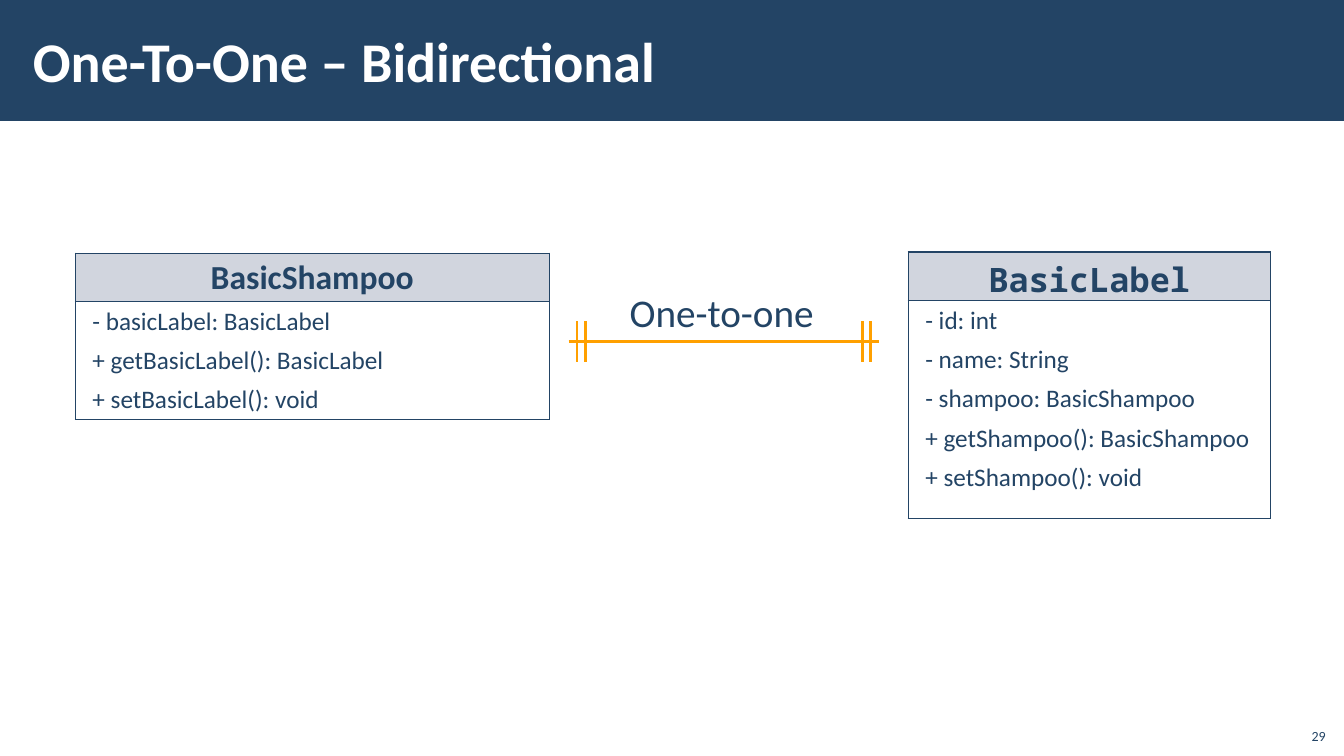
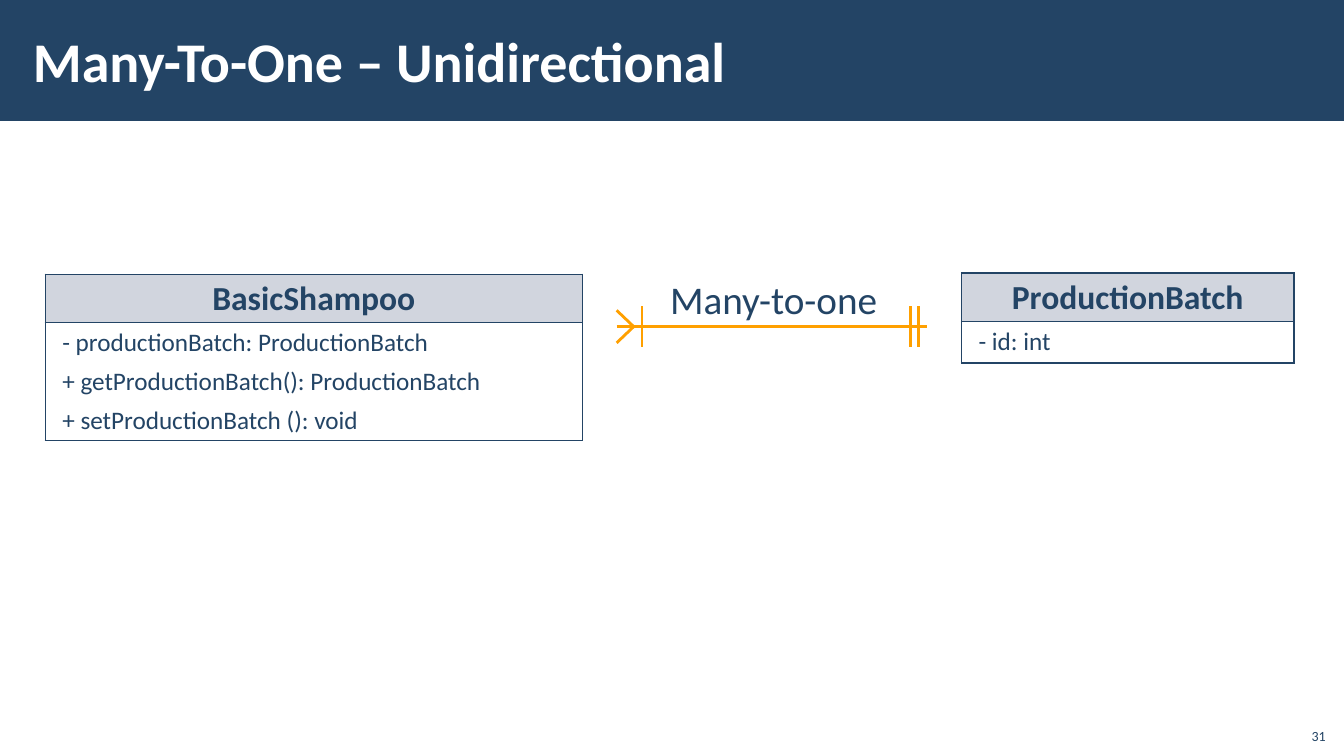
"""Build two slides of entity relation diagrams with crow's foot links."""
from lxml.etree import SubElement
from pptx import Presentation
from pptx.dml.color import RGBColor
from pptx.enum.shapes import MSO_CONNECTOR, MSO_SHAPE
from pptx.enum.text import MSO_ANCHOR, PP_ALIGN
from pptx.oxml import parse_xml
from pptx.oxml.ns import nsdecls, qn
from pptx.util import Cm, Pt

COLORS = {"navy": "234465", "header": "D1D5DE", "link": "FFA000", "white": "FFFFFF"}
FONT, MONO = "Calibri", "Noto Sans Mono"
WIDTH, HEIGHT, BAND_HEIGHT = 33.87, 19.05, 3.05
HEADER_HEIGHT = 1.22
LINK_LENGTH, BAR_HALF, BAR_STEP = 7.82, 0.51, 0.21
FOOT_WIDTH, FOOT_HALF, FOOT_BAR = 0.43, 0.41, 0.64

SLIDES = [
    {
        "title": "One-To-One – Bidirectional",
        "number": "29",
        "link": {"at": (14.33, 8.61), "many": False},
        "label": {"text": "One-to-one", "box": (15.62, 7.14, 5.21, 1.45)},
        "entities": [
            {"name": "BasicShampoo", "font": FONT, "at": (1.9, 6.38), "size": (11.94, 2.97),
             "members": ["- basicLabel: BasicLabel", "+ getBasicLabel(): BasicLabel",
                         "+ setBasicLabel(): void"]},
            {"name": "BasicLabel", "font": MONO, "at": (22.89, 6.35), "size": (9.12, 5.48),
             "members": ["- id: int", "- name: String", "- shampoo: BasicShampoo",
                         "+ getShampoo(): BasicShampoo", "+ setShampoo(): void"]},
        ],
    },
    {
        "title": "Many-To-One – Unidirectional",
        "number": "31",
        "link": {"at": (15.54, 8.23), "many": True},
        "label": {"text": "Many-to-one", "box": (16.64, 6.81, 5.82, 1.45)},
        "entities": [
            {"name": "BasicShampoo", "font": FONT, "at": (1.14, 6.91), "size": (13.54, 2.97),
             "members": ["- productionBatch: ProductionBatch",
                         "+ getProductionBatch(): ProductionBatch",
                         "+ setProductionBatch (): void"]},
            {"name": "ProductionBatch", "font": FONT, "at": (24.23, 6.88), "size": (8.38, 1.04),
             "members": ["- id: int"]},
        ],
    },
]


def color(name):
    return RGBColor.from_string(COLORS[name])


def cms(values):
    return [Cm(value) for value in values]


def style(paragraph, size, ink="navy", bold=False, face=FONT, align=PP_ALIGN.LEFT):
    font = paragraph.font
    font.name, font.size, font.bold = face, Pt(size), bold
    font.color.rgb = color(ink)
    paragraph.alignment = align


def add_band(slide):
    band = slide.shapes.add_shape(MSO_SHAPE.RECTANGLE, *cms((0, 0, WIDTH, BAND_HEIGHT)))
    band.shadow.inherit = False
    band.fill.solid()
    band.fill.fore_color.rgb = color("navy")
    band.line.fill.background()
    slide.slide_layout.shapes._spTree.insert(2, band._element)


def add_title(slide, text):
    title = slide.shapes.title
    title.left, title.top, title.width, title.height = cms((0.53, 0.28, 27, 2.46))
    frame = title.text_frame
    frame.text = text
    frame.vertical_anchor = MSO_ANCHOR.MIDDLE
    frame.margin_left = frame.margin_right = Cm(0.3)
    frame.margin_top = frame.margin_bottom = Cm(0.1)
    style(frame.paragraphs[0], 40, "white", bold=True)


def add_text(slide, text, box, size, wrap, anchor, align):
    frame = slide.shapes.add_textbox(*cms(box)).text_frame
    frame.text = text
    frame.word_wrap = wrap
    frame.vertical_anchor = anchor
    style(frame.paragraphs[0], size, align=align)


def add_link(slide, at, many):
    left, y = at
    right = left + LINK_LENGTH
    bars = [right - BAR_STEP, right - 2 * BAR_STEP]
    strokes = [(left, y, right, y)]
    if many:
        bars.append(left + FOOT_BAR)
        strokes += [(left + FOOT_WIDTH, y, left, y + side * FOOT_HALF) for side in (-1, 1)]
    else:
        bars += [left + BAR_STEP, left + 2 * BAR_STEP]
    strokes += [(x, y - BAR_HALF, x, y + BAR_HALF) for x in bars]
    for stroke in strokes:
        connector = slide.shapes.add_connector(MSO_CONNECTOR.STRAIGHT, *cms(stroke))
        connector.line.color.rgb = color("link")
        connector.line.width = Pt(2)
        SubElement(connector._element.spPr, qn("a:effectLst"))


def add_borders(cell):
    properties = cell._tc.get_or_add_tcPr()
    for position, side in enumerate("LRTB"):
        properties.insert(position, parse_xml(
            f'<a:ln{side} {nsdecls("a")} w="{Pt(1)}"><a:solidFill>'
            f'<a:srgbClr val="{COLORS["navy"]}"/></a:solidFill></a:ln{side}>'))


def fill_cell(cell, lines, size, **look):
    cell.margin_left = cell.margin_right = Cm(0.43)
    cell.margin_top = cell.margin_bottom = Cm(0.13)
    cell.text = "\n".join(lines)
    for index, paragraph in enumerate(cell.text_frame.paragraphs):
        style(paragraph, size, **look)
        paragraph.line_spacing = 0.95
        paragraph.space_before = Pt(7.2 if index else 0)
    add_borders(cell)


def add_entity(slide, name, font, at, size, members):
    width, body_height = size
    box = cms((*at, width, HEADER_HEIGHT + body_height))
    table = slide.shapes.add_table(2, 1, *box).table
    table.first_row = table.horz_banding = False
    table.rows[0].height, table.rows[1].height = cms((HEADER_HEIGHT, body_height))
    header, body = table.cell(0, 0), table.cell(1, 0)
    header.fill.solid()
    header.fill.fore_color.rgb = color("header")
    body.fill.background()
    fill_cell(header, [name], 24, bold=True, face=font, align=PP_ALIGN.CENTER)
    fill_cell(body, members, 18)


def main():
    deck = Presentation()
    deck.slide_width, deck.slide_height = cms((WIDTH, HEIGHT))
    title_only = deck.slide_layouts[5]
    for index, content in enumerate(SLIDES):
        slide = deck.slides.add_slide(title_only)
        if index == 0:
            add_band(slide)
        add_title(slide, content["title"])
        add_link(slide, **content["link"])
        add_text(slide, **content["label"], size=28, wrap=False,
                 anchor=MSO_ANCHOR.TOP, align=PP_ALIGN.LEFT)
        for entity in content["entities"]:
            add_entity(slide, **entity)
        add_text(slide, content["number"], (32.64, 18.08, 1.02, 0.81), size=10, wrap=True,
                 anchor=MSO_ANCHOR.BOTTOM, align=PP_ALIGN.RIGHT)
    deck.save("out.pptx")


if __name__ == "__main__":
    main()
